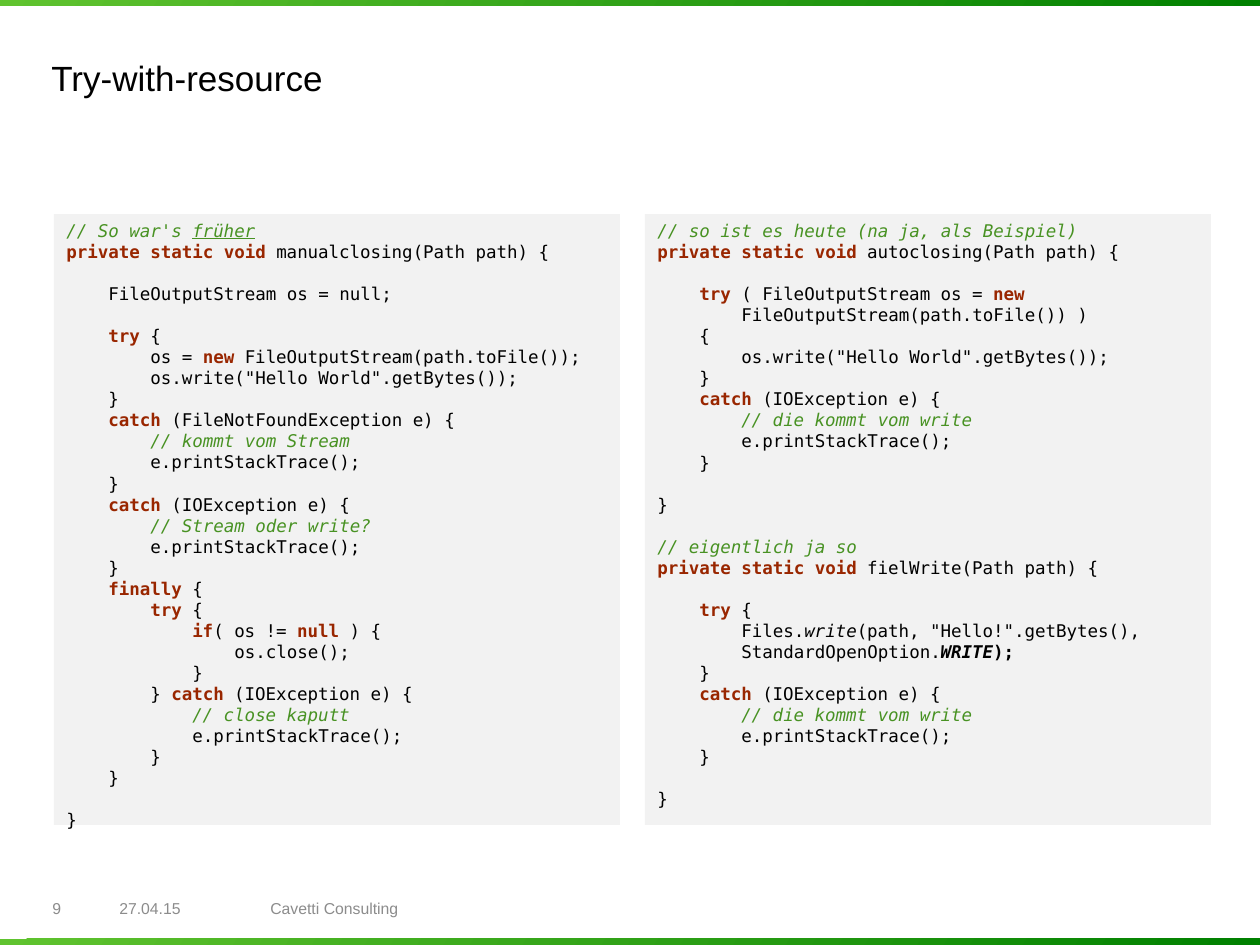
from pptx import Presentation
from pptx.dml.color import RGBColor
from pptx.enum.shapes import MSO_SHAPE as Shape
from pptx.enum.text import MSO_ANCHOR as Anchor, PP_ALIGN as Align
from pptx.util import Emu, Pt

PX = 914400 // 126
W, H = 1260, 945
BAR_H = 6
BLACK, GREY, PANEL = "000000", "8C8C8C", "F2F2F2"
KEYWORD, COMMENT = "992600", "489223"
BAR_COLOURS = ("60C32F", "008000")
SANS, MONO = "Arial", "DejaVu Sans Mono"
LINE_PT = 12

TITLE = "Try-with-resource"
FOOTER = [("9", 40, 67), ("27.04.15", 107, 150), ("Cavetti Consulting", 258, 616)]

# Marks toggle a format: # keyword, @ comment, ~ italic, ^ bold, _ underline
MARKS = "#@~^_"
OLD_WAY = """\
@// So war's _früher
#private static void #manualclosing(Path path) {

    FileOutputStream os = null;

    #try #{
        os = #new #FileOutputStream(path.toFile());
        os.write("Hello World".getBytes());
    }
    #catch #(FileNotFoundException e) {
        @// kommt vom Stream
        e.printStackTrace();
    }
    #catch #(IOException e) {
        @// Stream oder write?
        e.printStackTrace();
    }
    #finally #{
        #try #{
            #if#( os != #null #) {
                os.close();
            }
        } #catch #(IOException e) {
            @// close kaputt
            e.printStackTrace();
        }
    }

}"""
NEW_WAY = """\
@// so ist es heute (na ja, als Beispiel)
#private static void #autoclosing(Path path) {

    #try #( FileOutputStream os = #new
        FileOutputStream(path.toFile()) )
    {
        os.write("Hello World".getBytes());
    }
    #catch #(IOException e) {
        @// die kommt vom write
        e.printStackTrace();
    }

}

@// eigentlich ja so
#private static void #fielWrite(Path path) {

    #try #{
        Files.~write~(path, "Hello!".getBytes(),
        StandardOpenOption.^~WRITE~);
    }
    #catch #(IOException e) {
        @// die kommt vom write
        e.printStackTrace();
    }

}"""
PANEL_X, PANEL_Y, PANEL_W, PANEL_H, PANEL_GAP = 54, 214, 566, 611, 25


def px(n):
    return Emu(n * PX)


def rgb(colour):
    return RGBColor.from_string(colour)


def add_run(p, text, size=10, font=SANS, colour=BLACK, bold=False, italic=False, underline=False):
    r = p.add_run()
    r.text = text
    f = r.font
    f.size, f.name, f.color.rgb = Pt(size), font, rgb(colour)
    f.bold, f.italic, f.underline = bold, italic, underline


def add_label(s, text, x, y, w, h, anchor=Anchor.TOP, **fmt):
    tf = s.shapes.add_textbox(px(x), px(y), px(w), px(h)).text_frame
    tf.word_wrap, tf.vertical_anchor = True, anchor
    add_run(tf.paragraphs[0], text, **fmt)


def add_rect(s, x, y, w, h):
    sp = s.shapes.add_shape(Shape.RECTANGLE, px(x), px(y), px(w), px(h))
    sp.shadow.inherit = False
    sp.line.fill.background()
    return sp


def add_bar(s, y):
    fill = add_rect(s, 0, y, W, BAR_H).fill
    fill.gradient()
    fill.gradient_angle = 360 - 32
    for stop, colour in zip(fill.gradient_stops, BAR_COLOURS):
        stop.color.rgb = rgb(colour)


def split_marks(line):
    """Yield each piece of a line with the marks in force on it."""
    marks, piece = set(), ""
    for ch in line:
        if ch in MARKS:
            if piece:
                yield piece, marks
            marks, piece = marks ^ {ch}, ""
        else:
            piece += ch
    if piece:
        yield piece, marks


def add_code(s, code, x):
    sp = add_rect(s, x, PANEL_Y, PANEL_W, PANEL_H)
    sp.fill.solid()
    sp.fill.fore_color.rgb = rgb(PANEL)
    tf = sp.text_frame
    tf.word_wrap, tf.vertical_anchor = True, Anchor.TOP
    p, gap = tf.paragraphs[0], 0
    for i, line in enumerate(code.split("\n")):
        if not line:
            gap += LINE_PT
            continue
        if i:
            p = tf.add_paragraph()
        p.alignment, p.space_before, gap = Align.LEFT, Pt(gap), 0
        for text, marks in split_marks(line):
            colour = KEYWORD if "#" in marks else COMMENT if "@" in marks else BLACK
            add_run(p, text, font=MONO, colour=colour, bold=bool(marks & {"#", "^"}),
                    italic=bool(marks & {"@", "~"}), underline="_" in marks)


def main():
    prs = Presentation()
    prs.slide_width, prs.slide_height = px(W), px(H)
    s = prs.slides.add_slide(prs.slide_layouts[6])
    for y in (0, H - BAR_H):
        add_bar(s, y)
    add_label(s, TITLE, 39, 50, 1070, 110, size=20)
    for text, x, w in FOOTER:
        add_label(s, text, x, 891, w, 35, anchor=Anchor.MIDDLE, size=9, colour=GREY)
    for i, code in enumerate((OLD_WAY, NEW_WAY)):
        add_code(s, code, PANEL_X + i * (PANEL_W + PANEL_GAP))
    prs.save("out.pptx")


if __name__ == "__main__":
    main()
